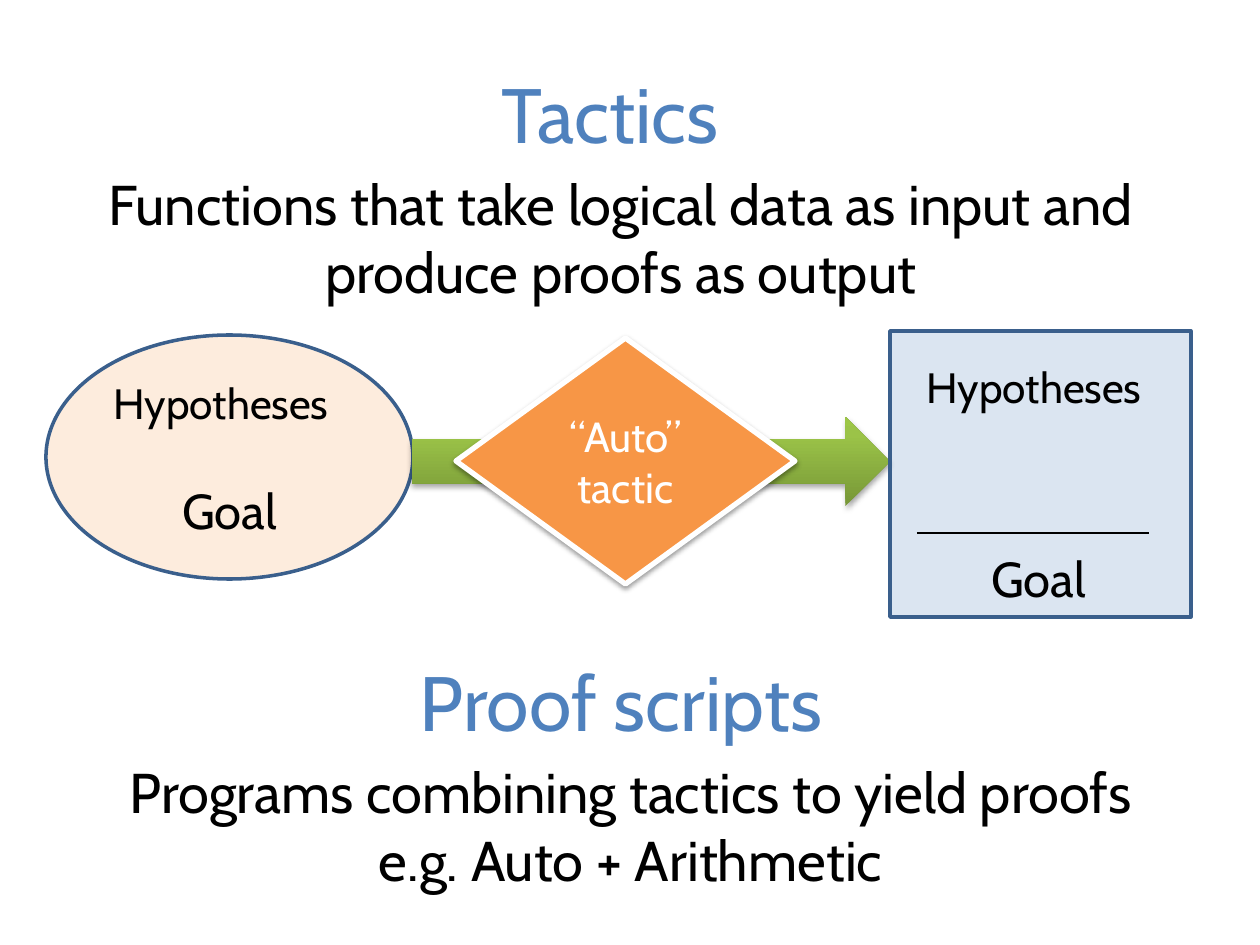
from dataclasses import dataclass
from typing import Any

from pptx import Presentation
from pptx.dml.color import RGBColor
from pptx.enum.shapes import MSO_CONNECTOR, MSO_SHAPE
from pptx.enum.text import MSO_ANCHOR, PP_ALIGN
from pptx.oxml import parse_xml
from pptx.oxml.ns import nsdecls, qn
from pptx.util import Emu, Pt

COLORS = {
    "blue": "4F81BD", "navy": "3A5F8C", "orange": "F79646",
    "black": "000000", "white": "FFFFFF",
    "moss": "779737", "leaf": "9BC348", "lime": "9DC746",
}


def px(size):
    """Turn pixels into EMU."""
    return Emu(round(size * 914400 / 126))


def color(name):
    """Look up a color by name."""
    return RGBColor.from_string(COLORS[name])


@dataclass
class Deck:
    """Hold the style and the current slide."""

    slide: Any
    font: str = "Cabin"

    def text(self, shape, lines, size, tint, split=False):
        """Set centred lines, split by paragraph or by line break."""
        frame = shape.text_frame
        frame.word_wrap = True
        frame.vertical_anchor = MSO_ANCHOR.MIDDLE
        para = frame.paragraphs[0]
        for spot, line in enumerate(lines):
            if spot and split:
                para = frame.add_paragraph()
            elif spot:
                para.add_line_break()
            para.alignment = PP_ALIGN.CENTER
            run = para.add_run()
            run.text = line
            run.font.name = self.font
            run.font.size = Pt(size)
            run.font.color.rgb = color(tint)

    def label(self, box, words, size, tint="black"):
        """Add a text box."""
        shape = self.slide.shapes.add_textbox(*map(px, box))
        self.text(shape, [words], size, tint)

    def shape(self, kind, box, fill=None, alpha=100, line=None, width=2):
        """Add a preset shape."""
        shape = self.slide.shapes.add_shape(kind, *map(px, box))
        shape.shadow.inherit = False
        if fill:
            shape.fill.solid()
            shape.fill.fore_color.rgb = color(fill)
            if alpha < 100:
                tone = shape._element.spPr.find(qn("a:solidFill"))[0]
                tone.append(parse_xml(f'<a:alpha {nsdecls("a")} val="{alpha * 1000}"/>'))
        if line:
            shape.line.color.rgb = color(line)
            shape.line.width = Pt(width)
        else:
            shape.line.fill.background()
        return shape

    def shade(self, shape, stops, angle):
        """Fill a shape with a gradient."""
        marks = "".join(
            f'<a:gs pos="{spot * 1000}"><a:srgbClr val="{COLORS[name]}"/></a:gs>'
            for spot, name in stops)
        shape._element.spPr.find(qn("a:prstGeom")).addnext(parse_xml(
            f'<a:gradFill {nsdecls("a")} rotWithShape="1"><a:gsLst>{marks}</a:gsLst>'
            f'<a:lin ang="{angle * 60000}" scaled="0"/></a:gradFill>'))

    def shadow(self, shape, alpha, drop):
        """Drop a soft shadow below a shape."""
        shape._element.spPr.find(qn("a:effectLst")).append(parse_xml(
            f'<a:outerShdw {nsdecls("a")} blurRad="{Pt(3.1)}" dist="{Pt(drop)}" '
            f'dir="5400000" rotWithShape="0"><a:srgbClr val="{COLORS["black"]}">'
            f'<a:alpha val="{alpha * 1000}"/></a:srgbClr></a:outerShdw>'))

    def rule(self, left, top, right):
        """Draw a level line."""
        line = self.slide.shapes.add_connector(
            MSO_CONNECTOR.STRAIGHT, px(left), px(top), px(right), px(top))
        line.line.color.rgb = color("black")
        line.line.width = Pt(1.5)
        line._element.spPr.append(parse_xml(f'<a:effectLst {nsdecls("a")}/>'))

    def head(self, left, top, words):
        """Add a heading."""
        self.label((left, top, 1134, 183), words, 44, "blue")

    def note(self, left, top, lines):
        """Add a white panel of body text."""
        panel = self.shape(MSO_SHAPE.RECTANGLE, (left, top, 1144, 158), "white")
        self.text(panel, lines, 32, "black")

    def terms(self, given, goal):
        """Label the hypotheses and the goal of a state."""
        self.label((*given, 258, 98), "Hypotheses", 24.2)
        self.label((*goal, 305, 98), "Goal", 28)


def main():
    """Build the slide."""
    show = Presentation()
    show.slide_width, show.slide_height = px(1260), px(945)
    deck = Deck(show.slides.add_slide(show.slide_layouts[6]))

    deck.head(43, 21, "Tactics")
    deck.shape(MSO_SHAPE.OVAL, (46, 335, 367, 244), "orange", 18, "navy")
    deck.terms((92, 354), (77, 461))

    arrow = deck.shape(MSO_SHAPE.RIGHT_ARROW, (412, 417, 478, 89))
    deck.shade(arrow, [(0, "moss"), (80, "leaf"), (100, "lime")], 270)
    deck.shadow(arrow, 35, 1.8)

    tactic = deck.shape(MSO_SHAPE.DIAMOND, (456, 338, 339, 246), "orange",
                        line="white", width=3)
    deck.shadow(tactic, 38, 1.6)
    deck.text(tactic, ["“Auto”", "tactic"], 24, "white", split=True)

    deck.note(49, 158, [
        "Functions that take logical data as input and produce proofs as output"])

    deck.shape(MSO_SHAPE.RECTANGLE, (890, 331, 301, 286), "blue", 20, "navy")
    deck.rule(917, 533, 1149)
    deck.terms((905, 338), (886, 529))

    deck.head(54, 609, "Proof scripts")
    deck.note(59, 746, [
        "Programs combining tactics to yield proofs", "e.g. Auto + Arithmetic"])
    show.save("out.pptx")


if __name__ == "__main__":
    main()
